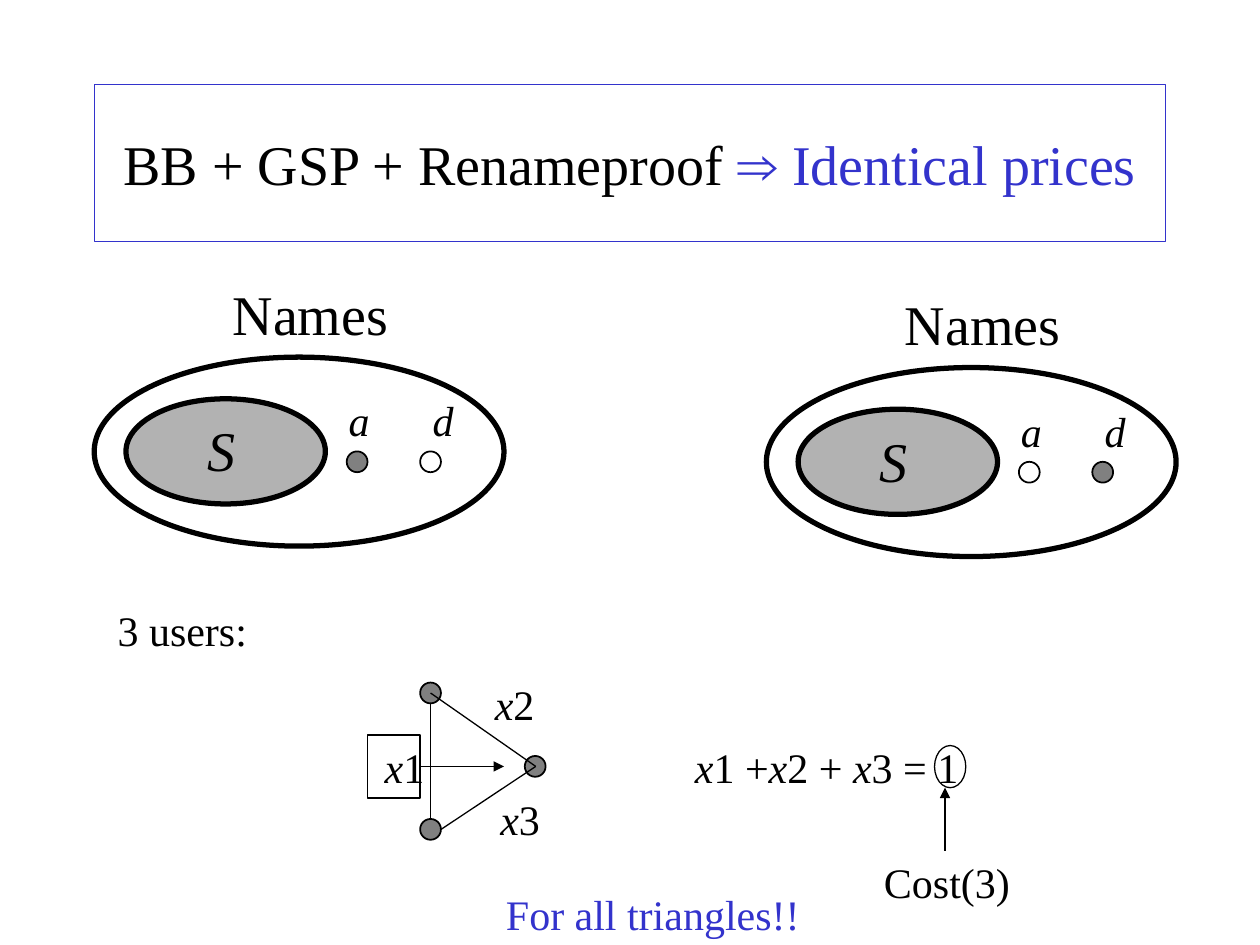
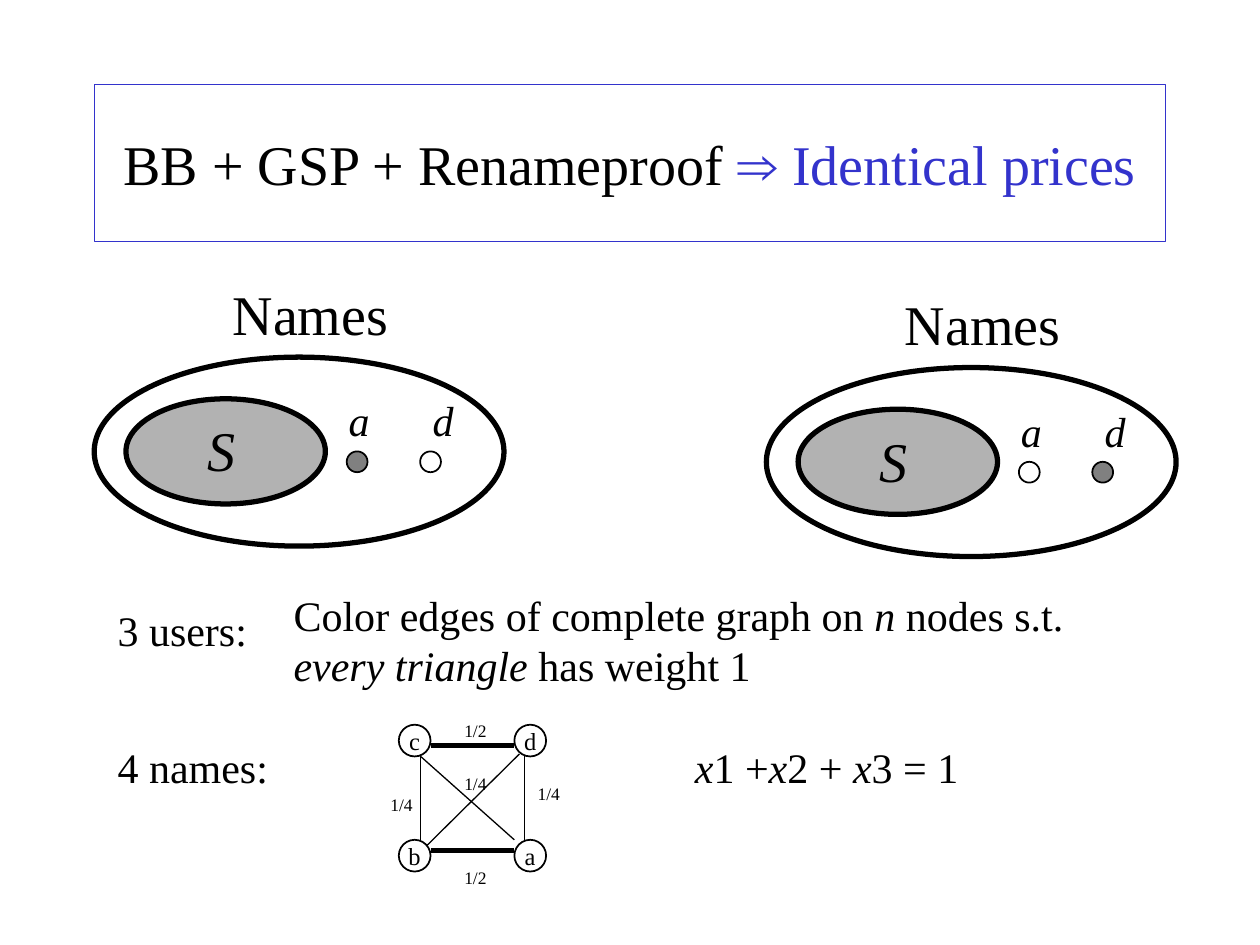
from lxml import etree
from pptx import Presentation
from pptx import util as u
from pptx.dml.color import RGBColor
from pptx.enum import shapes, text
from pptx.oxml.ns import qn

COLORS = {"ink": "000000", "accent": "3333CC", "set": "B2B2B2", "chosen": "808080"}
SERIF = "Times New Roman"
THIN, OUTLINE, THICK = 0.74, 1, 3
DOT, NODE = 0.42, 0.64

TITLE_BOX = (1.9, 1.7, 21.6, 3.17)
TITLE_RUNS = [("BB + GSP + Renameproof ", SERIF, "ink"),
              ("⇒", "Arial", "accent"),
              (" Identical prices", SERIF, "accent")]

NAME_SETS = [(0, 0, "a"), (13.55, 0.21, "d")]
NAME_DOTS = [("a", 6.78, 6.99), ("d", 8.47, 8.47)]

USERS = ("3 users:", (2.12, 12.06, 3.2, 1.27))
EQUATION = ("*x*1 +*x*2 + *x*3 = 1", (13.76, 14.82, 5.9, 1.27))

TRIANGLE_DOTS = [(8.47, 13.76), (10.58, 15.24), (8.47, 16.51)]
TRIANGLE_EDGES = [(8.68, 14.18, 8.68, 16.51), (8.68, 13.97, 10.8, 15.45),
                  (8.89, 16.72, 10.8, 15.45)]
TRIANGLE_LABELS = [("*x*1", (7.2, 14.82, 1.91, 1.27)),
                   ("*x*2", (9.53, 13.55, 1.69, 1.27)),
                   ("*x*3", (9.53, 15.88, 1.91, 1.27))]
X1_FRAME = (7.41, 14.82, 1.06, 1.27)
COST_RING = (18.84, 15.03, 0.63, 0.85)
ARROWS = [(8.47, 15.45, 10.16, 15.45), (19.05, 17.15, 19.05, 15.88)]
COST = ("Cost(3)", (17.57, 17.15, 3.1, 1.27))
CONCLUSION = ("For all triangles!!", (9.95, 17.78, 6.5, 1.27))

COLORING = ("Color edges of complete graph on *n* nodes s.t.\n*every triangle* has weight 1",
            (5.67, 11.75, 16.1, 2.29))
NAMES_COUNT = ("4 names:", (2.12, 14.82, 3.65, 1.27))
GRAPH_NODES = [("c", 8.04, 14.61), ("d", 10.37, 14.61), ("b", 8.04, 16.93), ("a", 10.37, 16.93)]
GRAPH_EDGES = [(8.68, 15.03, 10.37, 15.03, THICK), (8.68, 17.15, 10.37, 17.15, THICK),
               (8.47, 15.24, 8.47, 16.93, THIN), (10.58, 15.24, 10.58, 16.93, THIN),
               (8.47, 15.24, 10.37, 16.93, THIN), (10.47, 15.2, 8.61, 17.04, THIN)]
EDGE_WEIGHTS = [("1/2", 9.11, 14.39), ("1/2", 9.11, 17.35), ("1/4", 9.11, 15.45),
                ("1/4", 7.62, 15.88), ("1/4", 10.59, 15.66)]


def color(name):
    return RGBColor.from_string(COLORS[name])


def lengths(values):
    return [u.Cm(value) for value in values]


def set_line(line, width, name="ink"):
    line.color.rgb = color(name)
    line.width = u.Pt(width)


def write(frame, content, size, name="ink", centered=False):
    for index, row in enumerate(content.split("\n")):
        para = frame.add_paragraph() if index else frame.paragraphs[0]
        para.alignment = text.PP_ALIGN.CENTER if centered else text.PP_ALIGN.LEFT
        para.font.name, para.font.size = SERIF, u.Pt(size)
        para.font.color.rgb = color(name)
        for part, words in enumerate(row.split("*")):
            if words:
                span = para.add_run()
                span.text = words
                if part % 2:
                    span.font.italic = True


def add_text(page, content, place, size=24, name="ink", centered=False, wrap=False):
    frame = page.shapes.add_textbox(*lengths(place)).text_frame
    frame.word_wrap = wrap
    frame.auto_size = text.MSO_AUTO_SIZE.SHAPE_TO_FIT_TEXT
    write(frame, content, size, name, centered)


def add_outline(page, place, width, fill=None, kind=shapes.MSO_SHAPE.OVAL):
    shape = page.shapes.add_shape(kind, *lengths(place))
    shape.shadow.inherit = False
    if fill:
        shape.fill.solid()
        shape.fill.fore_color.rgb = color(fill)
    else:
        shape.fill.background()
    set_line(shape.line, width)
    return shape


def add_line(page, ends, width=THIN, arrow=False):
    line = page.shapes.add_connector(shapes.MSO_CONNECTOR.STRAIGHT, *lengths(ends))
    set_line(line.line, width)
    properties = line._element.spPr
    if arrow:
        etree.SubElement(properties.find(qn("a:ln")), qn("a:tailEnd"), type="triangle")
    etree.SubElement(properties, qn("a:effectLst"))


def add_title(page):
    title = page.shapes.title
    title.left, title.top, title.width, title.height = lengths(TITLE_BOX)
    set_line(title.line, THIN, "accent")
    title.text_frame.vertical_anchor = text.MSO_ANCHOR.MIDDLE
    para = title.text_frame.paragraphs[0]
    para.alignment = text.PP_ALIGN.CENTER
    para.font.size = u.Pt(32)
    for words, font, name in TITLE_RUNS:
        span = para.add_run()
        span.text = words
        span.font.name = font
        span.font.color.rgb = color(name)


def add_name_set(page, right, down, chosen):
    def place(left, top, width, height):
        return left + right, top + down, width, height

    add_outline(page, place(2.54, 8.04, 4.02, 2.12), THICK, "set")
    add_text(page, "*S*", place(3.93, 8.26, 1.07, 1.63), 32, centered=True)
    add_outline(page, place(1.9, 7.2, 8.26, 3.81), THICK)
    add_text(page, "Names", place(4.36, 5.51, 3.8, 1.63), 32, centered=True)
    for label, label_left, dot_left in NAME_DOTS:
        add_text(page, f"*{label}*", place(label_left, 7.83, 0.95, 1.27))
        add_outline(page, place(dot_left, 9.1, DOT, DOT), OUTLINE,
                    "chosen" if label == chosen else None)


def add_page(deck):
    page = deck.slides.add_slide(deck.slide_layouts[5])
    add_title(page)
    for name_set in NAME_SETS:
        add_name_set(page, *name_set)
    add_text(page, *USERS)
    add_text(page, *EQUATION)
    return page


def add_triangle(page):
    for left, top in TRIANGLE_DOTS:
        add_outline(page, (left, top, DOT, DOT), OUTLINE, "chosen")
    for ends in TRIANGLE_EDGES:
        add_line(page, ends)
    for label, place in TRIANGLE_LABELS:
        add_text(page, label, place, centered=True, wrap=True)
    add_outline(page, X1_FRAME, THIN, kind=shapes.MSO_SHAPE.RECTANGLE)
    add_outline(page, COST_RING, THIN)
    for ends in ARROWS:
        add_line(page, ends, arrow=True)
    add_text(page, *COST)
    add_text(page, *CONCLUSION, name="accent")


def add_graph(page):
    add_text(page, *COLORING)
    add_text(page, *NAMES_COUNT)
    for *ends, width in GRAPH_EDGES:
        add_line(page, ends, width)
    for label, left, top in GRAPH_NODES:
        frame = add_outline(page, (left, top, NODE, NODE), OUTLINE).text_frame
        frame.word_wrap = False
        frame.vertical_anchor = text.MSO_ANCHOR.MIDDLE
        write(frame, label, 14, centered=True)
    for weight, left, top in EDGE_WEIGHTS:
        add_text(page, weight, (left, top, 1.05, 0.69), 10)


deck = Presentation()
deck.slide_width, deck.slide_height = lengths((25.4, 19.05))
add_triangle(add_page(deck))
add_graph(add_page(deck))
deck.save("out.pptx")
